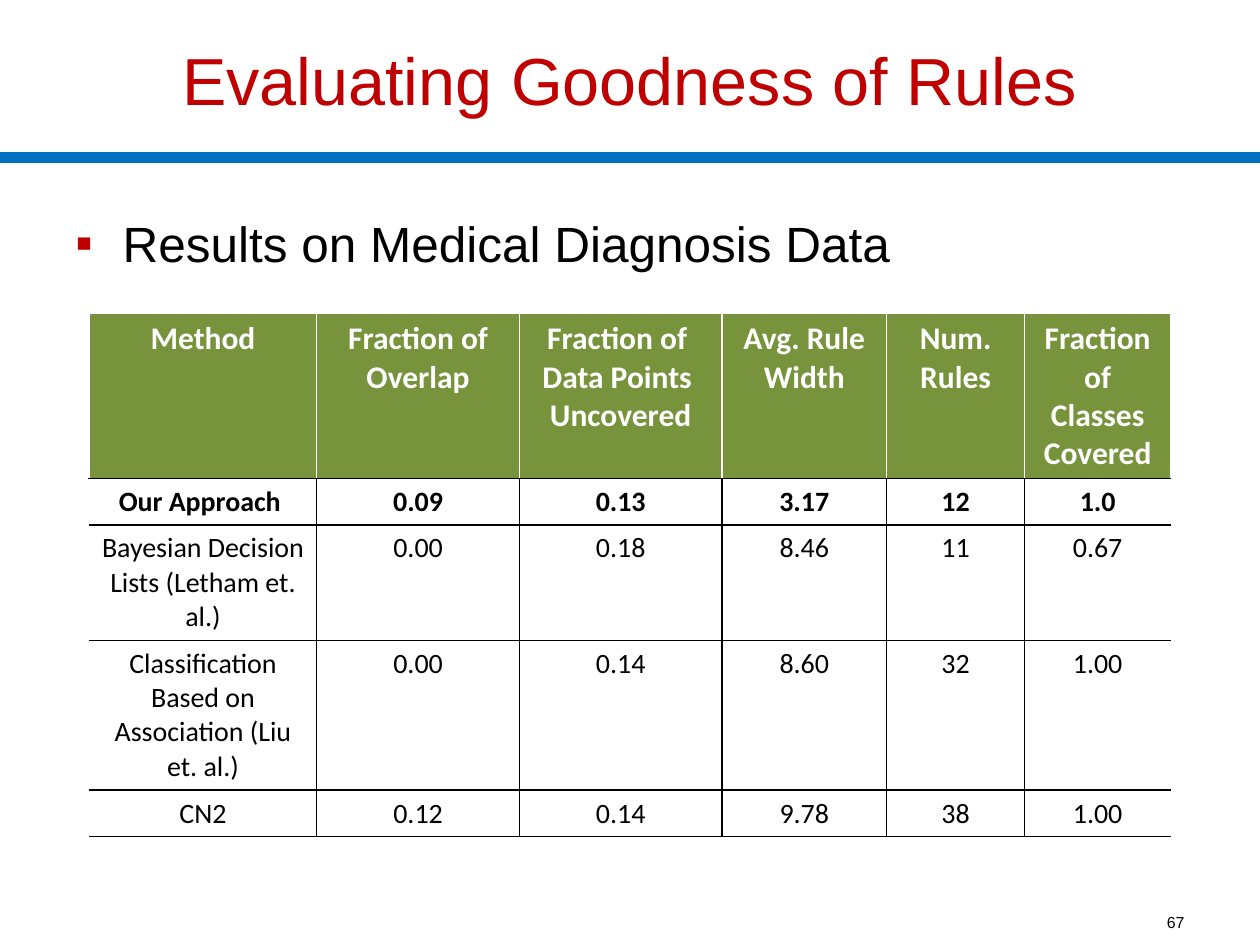
from lxml import etree
from pptx import Presentation
from pptx.dml.color import RGBColor
from pptx.enum.shapes import MSO_CONNECTOR
from pptx.enum.text import MSO_ANCHOR, MSO_AUTO_SIZE, PP_ALIGN
from pptx.oxml.ns import qn
from pptx.util import Pt

STRAIGHT = MSO_CONNECTOR.STRAIGHT
MIDDLE, TOP = MSO_ANCHOR.MIDDLE, MSO_ANCHOR.TOP
LEFT, CENTER, RIGHT = PP_ALIGN.LEFT, PP_ALIGN.CENTER, PP_ALIGN.RIGHT
NO_AUTOFIT = MSO_AUTO_SIZE.NONE

COLORS = {"red": "C00000", "blue": "0070C0", "green": "77933C",
          "black": "000000", "white": "FFFFFF"}

TITLE = "Evaluating Goodness of Rules"
BULLET = "Results on Medical Diagnosis Data"
PAGE_NUMBER = "67"
RESULTS = [
    ["Method", "Fraction of Overlap", "Fraction of \nData Points \nUncovered",
     "Avg. Rule Width", "Num. Rules", "Fraction of Classes Covered"],
    ["Our Approach ", "0.09", "0.13", "3.17", "12", "1.0"],
    ["Bayesian Decision Lists (Letham et. al.)", "0.00", "0.18", "8.46", "11", "0.67"],
    ["Classification Based on Association (Liu et. al.)", "0.00", "0.14", "8.60", "32", "1.00"],
    ["CN2", "0.12", "0.14", "9.78", "38", "1.00"],
]
COLUMN_WIDTHS = [130, 115.8, 115.8, 94, 79, 83.4]
ROW_HEIGHTS = [94.5, 26.5, 66, 85.5, 26.5]
HEADER_ROW, OUR_ROW = 0, 1
SLIDE_WIDTH, SLIDE_HEIGHT = 720, 540
TITLE_HEIGHT = 90


def rgb(color):
    return RGBColor.from_string(COLORS[color])


def write(frame, text, size, color, font="Arial", align=LEFT, bold=False):
    frame.text = text
    for paragraph in frame.paragraphs:
        paragraph.alignment = align
        for run in paragraph.runs:
            run.font.name = font
            run.font.size = Pt(size)
            run.font.bold = bold
            run.font.color.rgb = rgb(color)


def add_text(slide, box, text, size, color, align=LEFT, anchor=TOP):
    frame = slide.shapes.add_textbox(*map(Pt, box)).text_frame
    frame.word_wrap = True
    frame.vertical_anchor = anchor
    write(frame, text, size, color, align=align)
    return frame


def add_bullet(paragraph, char, color, indent):
    props = paragraph._p.get_or_add_pPr()
    props.set("marL", str(Pt(indent)))
    props.set("indent", str(-Pt(indent)))
    bullet_color = etree.SubElement(props, qn("a:buClr"))
    etree.SubElement(bullet_color, qn("a:srgbClr"), val=COLORS[color])
    etree.SubElement(props, qn("a:buFont"), typeface="Arial")
    etree.SubElement(props, qn("a:buChar"), char=char)


def set_borders(cell, sides):
    """Draw one 1 pt border per side; a side whose color is None stays empty."""
    props = cell._tc.get_or_add_tcPr()
    for position, side in enumerate("LRTB"):
        border = etree.Element(qn(f"a:ln{side}"), w=str(Pt(1)))
        if sides[side]:
            fill = etree.SubElement(border, qn("a:solidFill"))
            etree.SubElement(fill, qn("a:srgbClr"), val=COLORS[sides[side]])
        else:
            etree.SubElement(border, qn("a:noFill"))
        props.insert(position, border)


def add_results_table(slide, left, top):
    table = slide.shapes.add_table(
        len(RESULTS), len(COLUMN_WIDTHS), Pt(left), Pt(top),
        Pt(sum(COLUMN_WIDTHS)), Pt(sum(ROW_HEIGHTS))).table
    table.horz_banding = False
    for column, width in zip(table.columns, COLUMN_WIDTHS):
        column.width = Pt(width)
    for row, height in zip(table.rows, ROW_HEIGHTS):
        row.height = Pt(height)

    last_column = len(COLUMN_WIDTHS) - 1
    for r, values in enumerate(RESULTS):
        header = r == HEADER_ROW
        for c, value in enumerate(values):
            cell = table.cell(r, c)
            write(cell.text_frame, value, 18 if header else 16,
                  "white" if header else "black", "Calibri", CENTER,
                  bold=r <= OUR_ROW)
            cell.fill.solid()
            cell.fill.fore_color.rgb = rgb("green" if header else "white")
            inner = "white" if header else "black"
            outer = "white" if header else None
            set_borders(cell, {
                "L": outer if c == 0 else inner,
                "R": outer if c == last_column else inner,
                "T": inner,
                "B": "black",
            })


def main():
    deck = Presentation()
    deck.slide_width, deck.slide_height = Pt(SLIDE_WIDTH), Pt(SLIDE_HEIGHT)
    slide = deck.slides.add_slide(deck.slide_layouts[5])

    rule = slide.shapes.add_connector(
        STRAIGHT, 0, Pt(TITLE_HEIGHT), Pt(SLIDE_WIDTH), Pt(TITLE_HEIGHT))
    rule.line.color.rgb = rgb("blue")
    rule.line.width = Pt(6)
    etree.SubElement(rule._element.spPr, qn("a:effectLst"))

    title = slide.shapes.title
    title.left, title.top = 0, 0
    title.width, title.height = Pt(SLIDE_WIDTH), Pt(TITLE_HEIGHT)
    title.text_frame.vertical_anchor = MIDDLE
    title.text_frame.auto_size = NO_AUTOFIT
    write(title.text_frame, TITLE, 38, "red", align=CENTER)

    body = add_text(slide, (36, 118, 648, 408), BULLET, 28.3, "black")
    add_bullet(body.paragraphs[0], "▪", "red", 27)

    add_text(slide, (516, 520.5, 168, 13), PAGE_NUMBER, 9.1, "black", RIGHT, MIDDLE)
    add_results_table(slide, 51, 179)

    deck.save("out.pptx")


if __name__ == "__main__":
    main()
